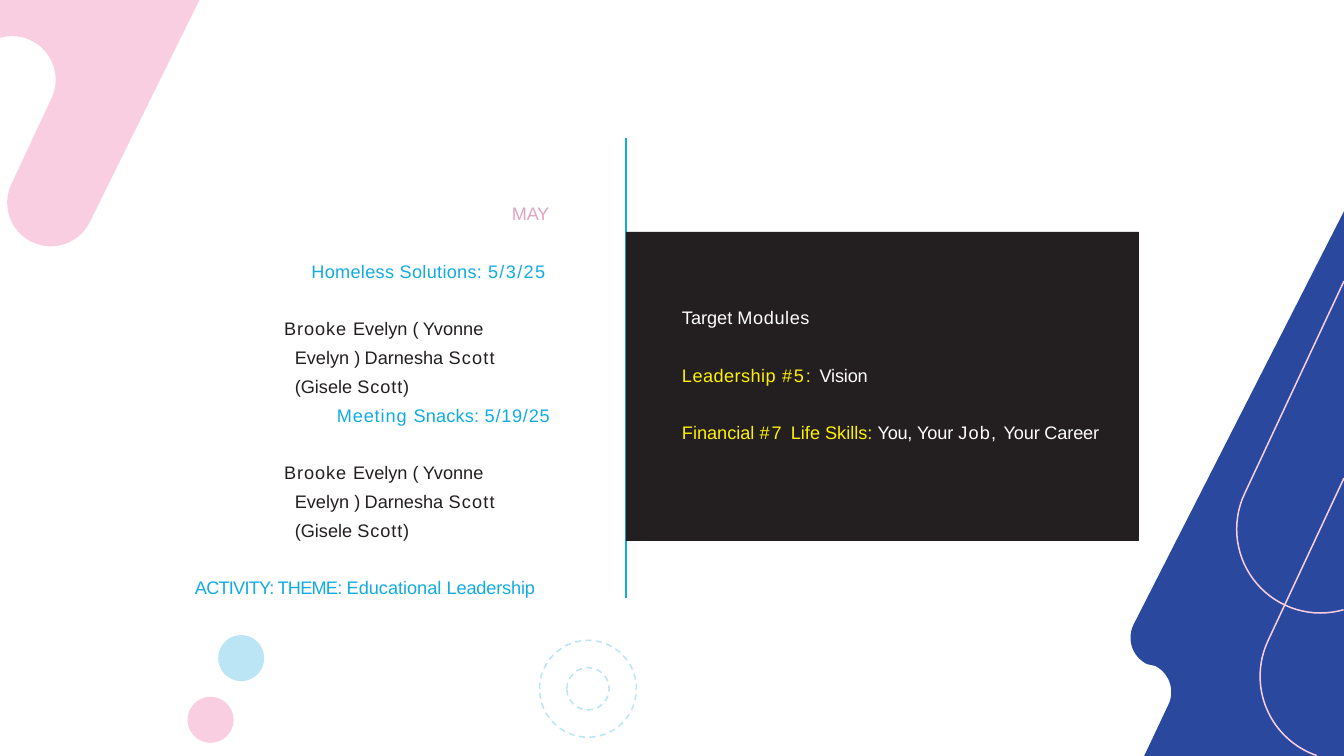
import math
from typing import NamedTuple, Optional

import pptx
import pptx.dml.color
import pptx.enum.dml
import pptx.enum.shapes
import pptx.enum.text
import pptx.util
from lxml import etree
from pptx.oxml.ns import qn

Pt = pptx.util.Pt
RGBColor = pptx.dml.color.RGBColor
Align = pptx.enum.text.PP_ALIGN
Shape = pptx.enum.shapes.MSO_SHAPE

BLUE = RGBColor(0x29, 0x48, 0x9E)
PINK = RGBColor(0xFA, 0xCE, 0xE1)
ROSE = RGBColor(0xE0, 0xA4, 0xC1)
PALE = RGBColor(0xBB, 0xE5, 0xF5)
CYAN = RGBColor(0x11, 0xAB, 0xE3)
DARK = RGBColor(0x23, 0x1F, 0x20)
WHITE = RGBColor(0xFF, 0xFF, 0xFF)
YELLOW = RGBColor(0xFF, 0xF2, 0x00)

WIDE, HIGH = 888, 499.7
STEP = 19  # line pitch of all text
BEND = 55.4  # radius of the thin curves


class Piece(NamedTuple):
    text: str
    track: float = 0
    hue: Optional[RGBColor] = None


class Para(NamedTuple):
    lines: list[list[Piece]]
    hue: RGBColor
    left: float = 0
    hang: float = 0
    before: float = STEP


class Disc(NamedTuple):
    x: float
    y: float
    radius: float
    hue: RGBColor
    solid: bool


class Outline(NamedTuple):
    points: list[tuple[float, float]]
    hue: RGBColor
    solid: bool


def arc(x: float, y: float, radius: float, start: float, end: float) -> list[tuple[float, float]]:
    """Points on a circle, angles in degrees, clockwise from the right."""
    count = 32
    turns = [math.radians(start + (end - start) * i / count) for i in range(count + 1)]
    return [(x + radius * math.cos(t), y + radius * math.sin(t)) for t in turns]


def paint(shape, hue: RGBColor, solid: bool) -> None:
    shape.shadow.inherit = False
    if solid:
        shape.fill.solid()
        shape.fill.fore_color.rgb = hue
        shape.line.fill.background()
    else:
        shape.fill.background()
        shape.line.color.rgb = hue
        shape.line.width = Pt(1)


def draw_outline(shapes, item: Outline) -> None:
    first, *rest = [(Pt(x), Pt(y)) for x, y in item.points]
    maker = shapes.build_freeform(*first)
    maker.add_line_segments(rest, close=item.solid)
    paint(maker.convert_to_shape(), item.hue, item.solid)


def draw_disc(shapes, disc: Disc) -> None:
    size = Pt(2 * disc.radius)
    shape = shapes.add_shape(Shape.OVAL, Pt(disc.x - disc.radius), Pt(disc.y - disc.radius), size, size)
    paint(shape, disc.hue, disc.solid)
    if not disc.solid:
        shape.line.dash_style = pptx.enum.dml.MSO_LINE.DASH


def write(holder, box: tuple[float, float, float, float], paras: list[Para], align=Align.LEFT) -> None:
    holder.left, holder.top, holder.width, holder.height = map(Pt, box)
    frame = holder.text_frame
    frame.margin_left = frame.margin_right = frame.margin_top = frame.margin_bottom = 0
    frame.word_wrap = True
    frame.auto_size = pptx.enum.text.MSO_AUTO_SIZE.NONE
    frame.vertical_anchor = pptx.enum.text.MSO_ANCHOR.TOP
    for i, para in enumerate(paras):
        graph = frame.add_paragraph() if i else frame.paragraphs[0]
        graph.alignment = align
        graph.line_spacing = Pt(STEP)
        graph.space_before = Pt(para.before)
        graph.space_after = Pt(0)
        props = graph._p.get_or_add_pPr()
        props.set("marL", str(Pt(para.left)))
        props.set("indent", str(Pt(para.hang)))
        etree.SubElement(props, qn("a:buNone"))
        graph.font.name = "Arial"
        graph.font.size = Pt(12)
        graph.font.color.rgb = para.hue
        for j, line in enumerate(para.lines):
            if j:
                graph.add_line_break()
            for piece in line:
                run = graph.add_run()
                run.text = piece.text
                if piece.track:
                    run._r.get_or_add_rPr().set("spc", str(round(piece.track * 100)))
                if piece.hue is not None:
                    run.font.color.rgb = piece.hue


OUTLINES = [
    Outline([(WIDE, 139.7), *arc(766.5, 421.5, 19.5, 207, 116), *arc(754.5, 457.5, 19.4, -63, 25),
             (756, HIGH), (WIDE, HIGH)], BLUE, True),
    Outline([(0, 0), (131.8, 0), *arc(33.6, 134, 28.8, 25, 204), *arc(8, 52.7, 28.8, 25, -106)], PINK, True),
    Outline([*arc(872.5, 349.8, BEND, 74, 205), (WIDE, 185.8)], PINK, False),
    Outline([*arc(888, 447, BEND, 109, 205), (WIDE, 316)], PINK, False),
]

DISCS = [
    Disc(388.5, 455.3, 32, PALE, False),
    Disc(388.5, 455.3, 14, PALE, False),
    Disc(159.4, 435, 15.2, PALE, True),
    Disc(139.2, 475.8, 15.2, PINK, True),
]

MONTH = [Para([[Piece("MAY", -0.2)]], ROSE, before=0)]

HOSTS = Para([
    [Piece("Brooke ", 0.6), Piece("Evelyn "), Piece("( ", -0.6), Piece("Yvonne")],
    [Piece("Evelyn "), Piece(") ", -0.5), Piece("Darnesha "), Piece("Scott", 0.8)],
    [Piece("(Gisele "), Piece("Scott)", 0.6)],
], DARK, 66, -7)

EVENTS = [
    Para([[Piece("Homeless Solutions: ", 0.2), Piece("5/3/25", 0.9)]], CYAN, 77, before=0),
    HOSTS,
    Para([[Piece("Meeting ", 0.6), Piece("Snacks: ", 0.1), Piece("5/19/25", 0.5)]], CYAN, 93.7, before=0),
    HOSTS,
    Para([[Piece("ACTIVITY: THEME: ", -0.5), Piece("Educational "), Piece("Leadership", -0.1)]], CYAN),
]

TARGETS = [
    Para([[Piece("Target "), Piece("Modules", 0.4)]], WHITE, before=0),
    Para([[Piece("Leadership ", 0.3), Piece("#5: ", 1.2), Piece("Vision", -0.1, WHITE)]], YELLOW),
    Para([[Piece("Financial "), Piece("#7 ", 1.3), Piece("Life Skills: "), Piece("You, ", -0.2, WHITE),
           Piece("Your ", -0.1, WHITE), Piece("Job, ", 0.8, WHITE), Piece("Your Career", -0.1, WHITE)]], YELLOW),
]


def main() -> None:
    deck = pptx.Presentation()
    deck.slide_width, deck.slide_height = Pt(WIDE), Pt(HIGH)
    slide = deck.slides.add_slide(deck.slide_layouts.get_by_name("Two Content"))
    shapes = slide.shapes
    title, events, targets = list(slide.placeholders)[:3]

    # Corner shapes and circles
    for item in OUTLINES:
        draw_outline(shapes, item)
    for disc in DISCS:
        draw_disc(shapes, disc)

    # Divider and dark panel
    rule = shapes.add_connector(pptx.enum.shapes.MSO_CONNECTOR.STRAIGHT, Pt(413.4), Pt(91.5), Pt(413.4), Pt(395.5))
    rule.line.color.rgb = CYAN
    rule.line.width = Pt(1.5)
    etree.SubElement(rule.element.spPr, qn("a:effectLst"))
    panel = shapes.add_shape(Shape.RECTANGLE, Pt(413.5), Pt(153.3), Pt(339), Pt(204.2))
    paint(panel, DARK, True)

    # Text, in front of the panel
    write(title, (205, 129.2, 158, STEP), MONTH, Align.RIGHT)
    write(events, (128.8, 167.5, 235.2, 12 * STEP), EVENTS)
    write(targets, (450.6, 198, 290, 5 * STEP), TARGETS)
    for holder in (title, events, targets):
        shapes.element.append(holder.element)

    deck.save("out.pptx")


if __name__ == "__main__":
    main()
